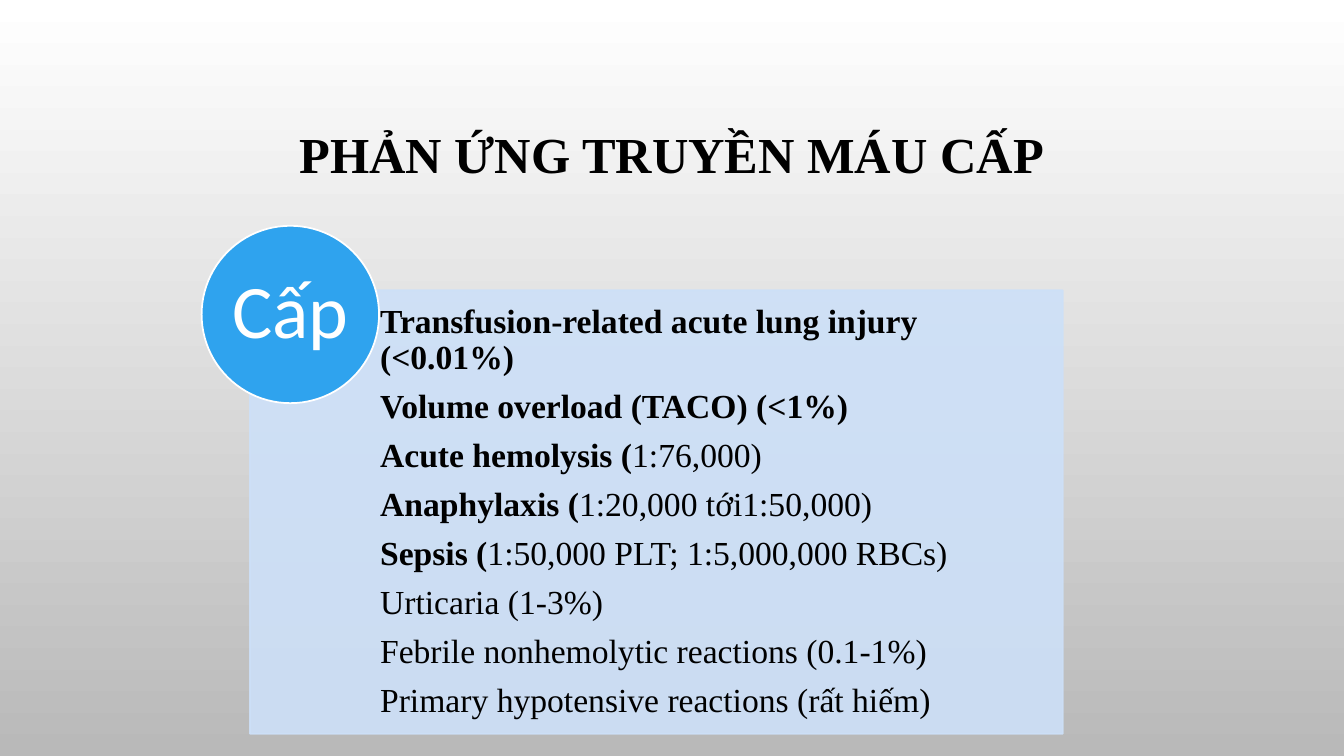
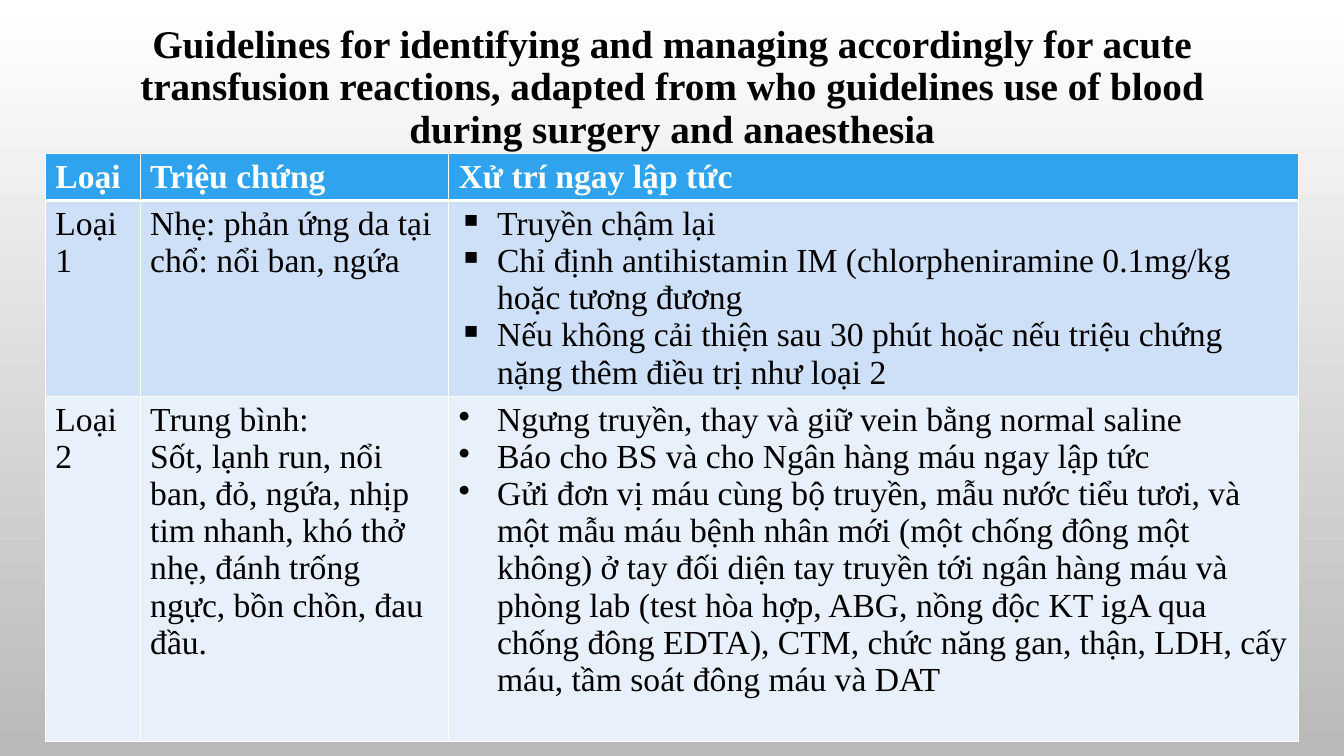
"""Build two slides on acute transfusion reactions."""
from lxml.etree import SubElement
from pptx import Presentation
from pptx.dml.color import RGBColor
from pptx.enum.shapes import MSO_SHAPE
from pptx.enum.text import MSO_ANCHOR, MSO_AUTO_SIZE, PP_ALIGN
from pptx.oxml.ns import qn
from pptx.util import Inches, Pt

COLORS = {
    "white": "FFFFFF",
    "grey": "B9B9B9",
    "black": "000000",
    "blue": "2FA3EE",
    "light": "CDE0F8",
    "pale": "E8F0FC",
}

REACTIONS = [
    [("Transfusion-related acute lung injury (<0.01%)", True)],
    [("Volume overload (TACO) (<1%)", True)],
    [("Acute hemolysis (", True), ("1:76,000)", False)],
    [("Anaphylaxis (", True), ("1:20,000 tới1:50,000)", False)],
    [("Sepsis (", True), ("1:50,000 PLT; 1:5,000,000 RBCs)", False)],
    "Urticaria (1-3%)",
    "Febrile nonhemolytic reactions (0.1-1%)",
    "Primary hypotensive reactions (rất hiếm)",
]

HEADER = ["Loại", "Triệu chứng", "Xử trí ngay lập tức"]
GUIDELINES = [
    ("▪", "light", "Loại 1", ["Nhẹ: phản ứng da tại chổ: nổi ban, ngứa"], [
        "Truyền chậm lại",
        "Chỉ định antihistamin IM (chlorpheniramine 0.1mg/kg hoặc tương đương",
        "Nếu không cải thiện sau 30 phút hoặc nếu triệu chứng nặng thêm "
        "điều trị như loại 2",
    ]),
    ("•", "pale", "Loại 2", [
        "Trung bình:",
        "Sốt, lạnh run, nổi ban, đỏ, ngứa, nhịp tim nhanh, khó thở nhẹ, "
        "đánh trống ngực, bồn chồn, đau đầu.",
    ], [
        "Ngưng truyền, thay và giữ vein bằng normal saline",
        "Báo cho BS và cho Ngân hàng máu ngay lập tức",
        "Gửi đơn vị máu cùng bộ truyền, mẫu nước tiểu tươi, và một mẫu máu "
        "bệnh nhân mới (một chống đông một không) ở tay đối diện tay truyền "
        "tới ngân hàng máu và phòng lab (test hòa hợp, ABG, nồng độc KT igA "
        "qua chống đông EDTA), CTM, chức năng gan, thận, LDH, cấy máu, "
        "tầm soát đông máu và DAT",
    ]),
]


def rgb(name):
    return RGBColor.from_string(COLORS[name])


def write(tf, paragraphs, size=24, font="Times New Roman", color="black",
          bold=False, align=PP_ALIGN.LEFT, line=1.0, after=0, bullet=None):
    tf.word_wrap = True
    for i, runs in enumerate(paragraphs):
        p = tf.paragraphs[0] if i == 0 else tf.add_paragraph()
        pPr = p._p.get_or_add_pPr()
        indent = Inches(0.38) if bullet else 0
        pPr.set("marL", str(indent))
        pPr.set("indent", str(-indent))
        if bullet:
            SubElement(pPr, qn("a:buChar"), char=bullet)
        else:
            SubElement(pPr, qn("a:buNone"))
        p.alignment = align
        p.line_spacing = line
        p.space_before = Pt(0)
        p.space_after = Pt(after)
        for text, strong in [(runs, bold)] if isinstance(runs, str) else runs:
            r = p.add_run()
            r.text = text
            r.font.size = Pt(size)
            r.font.name = font
            r.font.bold = strong
            r.font.color.rgb = rgb(color)


class Deck:
    def __init__(self):
        self.prs = Presentation()
        self.prs.slide_width = Inches(13.33)
        self.prs.slide_height = Inches(7.5)
        fill = self.prs.slide_master.background.fill
        fill.gradient()
        fill.gradient_angle = 270
        for stop, name in zip(fill.gradient_stops, ("white", "grey")):
            stop.color.rgb = rgb(name)

    def add_slide(self, layout, title, top, size):
        self.s = self.prs.slides.add_slide(self.prs.slide_layouts[layout])
        sp = self.s.shapes.title
        self.place(sp, 1, top, 11.33, 1.75)
        write(sp.text_frame, [title], size=size, bold=True,
              align=PP_ALIGN.CENTER, line=0.9)

    def place(self, sp, left, top, width, height):
        sp.left, sp.top = Inches(left), Inches(top)
        sp.width, sp.height = Inches(width), Inches(height)
        sp.text_frame.auto_size = MSO_AUTO_SIZE.NONE
        sp.text_frame.vertical_anchor = MSO_ANCHOR.MIDDLE

    def paint(self, sp, fill, line, opacity=100):
        sp.fill.solid()
        sp.fill.fore_color.rgb = rgb(fill)
        sp.line.color.rgb = rgb(line)
        sp.line.width = Pt(1.25)
        if opacity < 100:
            for clr in sp._element.spPr.iter(qn("a:srgbClr")):
                SubElement(clr, qn("a:alpha"), val=str(opacity * 1000))

    def inset(self, tf, left, rest):
        tf.margin_left = Inches(left)
        tf.margin_top = tf.margin_right = tf.margin_bottom = Inches(rest)

    def add_panel(self, paragraphs, left, top, width, height):
        sp = self.s.placeholders[1]
        self.place(sp, left, top, width, height)
        self.paint(sp, "light", "light", opacity=90)
        self.inset(sp.text_frame, 1.29, 0.19)
        write(sp.text_frame, paragraphs, line=0.9, after=9)

    def add_badge(self, text, left, top, diameter):
        sp = self.s.shapes.add_shape(MSO_SHAPE.OVAL, 0, 0, 0, 0)
        sp.shadow.inherit = False
        self.place(sp, left, top, diameter, diameter)
        self.paint(sp, "blue", "white")
        self.inset(sp.text_frame, 0, 0)
        write(sp.text_frame, [text], size=54, font="Calibri", color="white",
              align=PP_ALIGN.CENTER, line=0.9)

    def add_table(self, left, top, widths, heights):
        table = self.s.shapes.add_table(
            len(heights), len(widths), Inches(left), Inches(top),
            Inches(sum(widths)), Inches(sum(heights))).table
        for column, width in zip(table.columns, widths):
            column.width = Inches(width)
        for row, height in zip(table.rows, heights):
            row.height = Inches(height)
        return table

    def fill_cell(self, cell, paragraphs, fill, top=1, bottom=1, **fmt):
        tcPr = cell._tc.get_or_add_tcPr()
        for side, width in (("L", 1), ("R", 1), ("T", top), ("B", bottom)):
            ln = SubElement(tcPr, qn(f"a:ln{side}"), w=str(Pt(width)))
            SubElement(SubElement(ln, qn("a:solidFill")), qn("a:srgbClr"),
                       val=COLORS["white"])
        cell.fill.solid()
        cell.fill.fore_color.rgb = rgb(fill)
        write(cell.text_frame, paragraphs, **fmt)


def main():
    deck = Deck()
    deck.add_slide(1, "PHẢN ỨNG TRUYỀN MÁU CẤP", top=0.68, size=36)
    deck.add_panel(REACTIONS, 2.48, 2.88, 8.06, 4.4)
    deck.add_badge("Cấp", 2, 2.24, 1.76)

    deck.add_slide(5, "Guidelines for identifying and managing accordingly for "
                   "acute transfusion reactions, adapted from who guidelines "
                   "use of blood during surgery and anaesthesia", top=0, size=28)
    table = deck.add_table(0.45, 1.52, [0.94, 3.06, 8.43], [0.47, 1.94, 3.42])
    for col, text in enumerate(HEADER):
        deck.fill_cell(table.cell(0, col), [text], "blue", bottom=3,
                       color="white", bold=True)
    for row, (bullet, fill, kind, signs, actions) in enumerate(GUIDELINES, 1):
        top = 3 if row == 1 else 1
        columns = (([kind], None), (signs, None), (actions, bullet))
        for col, (paragraphs, mark) in enumerate(columns):
            deck.fill_cell(table.cell(row, col), paragraphs, fill, top=top,
                           bullet=mark)
    deck.prs.save("out.pptx")


if __name__ == "__main__":
    main()
